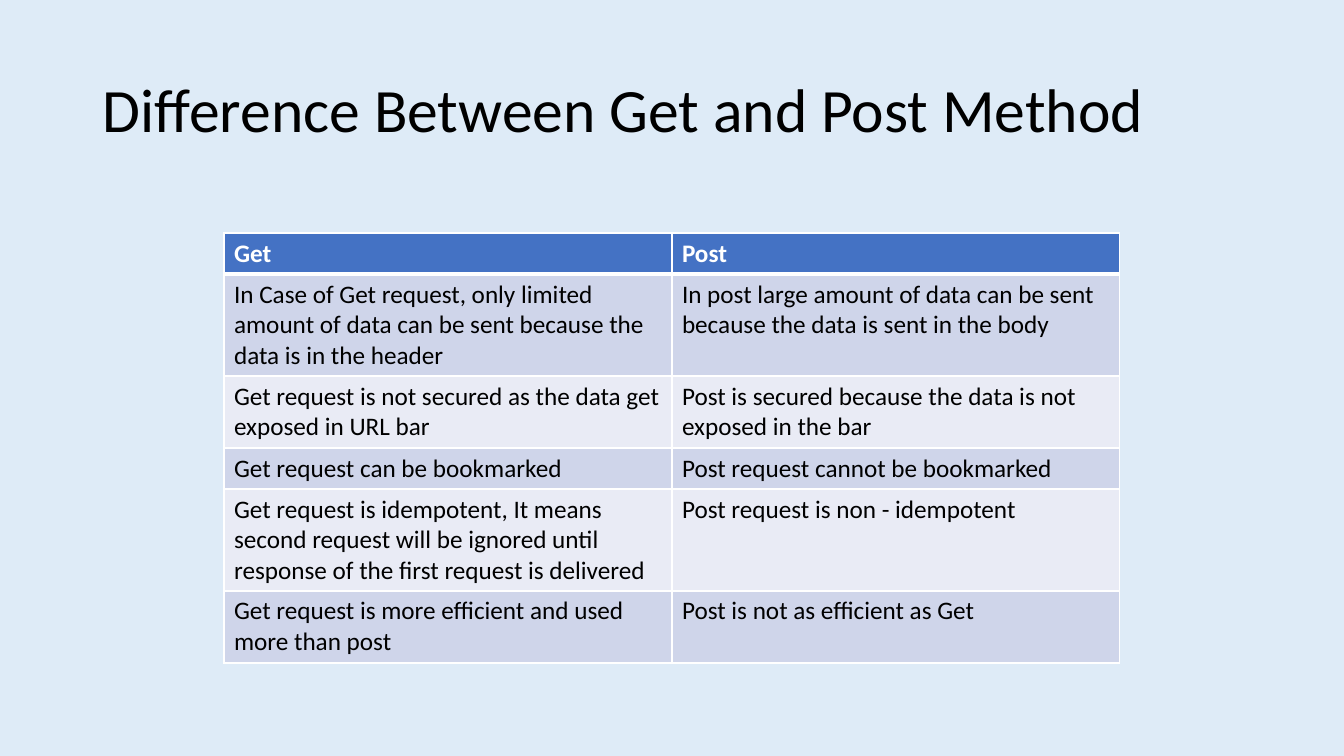
from lxml import etree
from pptx import Presentation
from pptx.dml.color import RGBColor
from pptx.enum.text import MSO_ANCHOR
from pptx.oxml.ns import qn
from pptx.util import Pt

MIDDLE = MSO_ANCHOR.MIDDLE
SLIDE_W, SLIDE_H = 1344, 756
SCALE = 12192000 / SLIDE_W
COLORS = {
    "background": "DEEBF7",
    "header": "4472C4",
    "band_dark": "CFD5EA",
    "band_light": "E9EBF5",
    "text": "000000",
    "white": "FFFFFF",
}
COMPARISON = [
    (41, "Get", "Post"),
    (102, "In Case of Get request, only limited amount of data can be sent because the data is in the header",
     "In post large amount of data can be sent because the data is sent in the body"),
    (72, "Get request is not secured as the data get exposed in URL bar",
     "Post is secured because the data is not exposed in the bar"),
    (41, "Get request can be bookmarked", "Post request cannot be bookmarked"),
    (102, "Get request is idempotent, It means second request will be ignored until "
          "response of the first request is delivered",
     "Post request is non - idempotent"),
    (72, "Get request is more efficient and used more than post",
     "Post is not as efficient as Get"),
]


def px(length):
    return round(length * SCALE)


def write(frame, text, size=18, color="text", bold=False, spacing=1.0):
    paragraph = frame.paragraphs[0]
    paragraph.line_spacing = spacing
    run = paragraph.add_run()
    run.text = text
    run.font.name = "Calibri"
    run.font.size = Pt(size)
    run.font.bold = bold
    run.font.color.rgb = RGBColor.from_string(COLORS[color])


prs = Presentation()
prs.slide_width, prs.slide_height = px(SLIDE_W), px(SLIDE_H)
slide = prs.slides.add_slide(prs.slide_layouts[6])
slide.background.fill.solid()
slide.background.fill.fore_color.rgb = RGBColor.from_string(COLORS["background"])

title = slide.shapes.add_textbox(px(93), px(40), px(1159), px(146)).text_frame
title.word_wrap = True
title.vertical_anchor = MIDDLE
write(title, "Difference Between Get and Post Method", size=44, spacing=0.9)

table_height = sum(row[0] for row in COMPARISON)
comparison = slide.shapes.add_table(
    len(COMPARISON), 2, px(224), px(233), px(896), px(table_height)).table

for row, (height, *methods) in enumerate(COMPARISON):
    comparison.rows[row].height = px(height)
    is_header = row == 0
    band = "header" if is_header else "band_dark" if row % 2 else "band_light"
    for column, text in enumerate(methods):
        cell = comparison.cell(row, column)
        write(cell.text_frame, text, color="white" if is_header else "text", bold=is_header)
        cell_format = cell._tc.get_or_add_tcPr()
        for side in "LRTB":
            thick = (is_header and side == "B") or (row == 1 and side == "T")
            border = etree.SubElement(cell_format, qn(f"a:ln{side}"), w=str(Pt(3 if thick else 1)))
            line_fill = etree.SubElement(border, qn("a:solidFill"))
            etree.SubElement(line_fill, qn("a:srgbClr"), val=COLORS["white"])
        cell.fill.solid()
        cell.fill.fore_color.rgb = RGBColor.from_string(COLORS[band])

prs.save("out.pptx")
